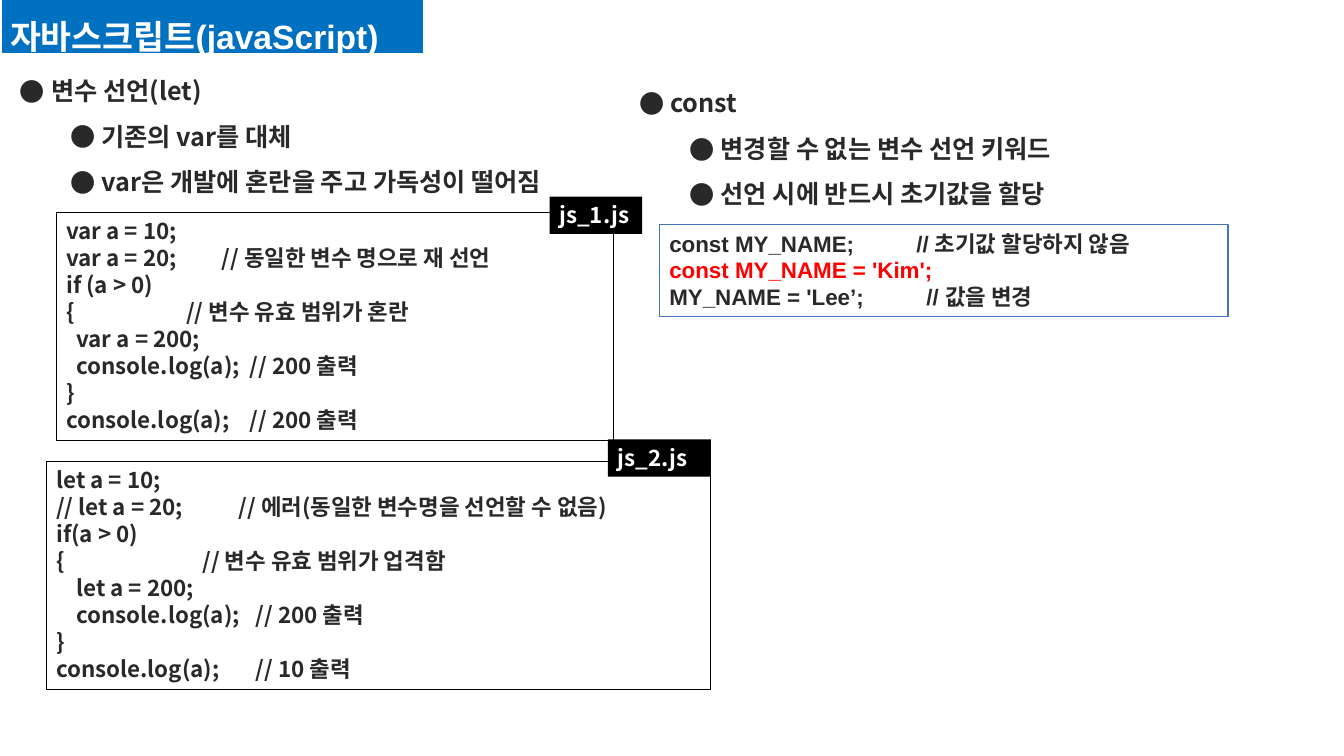
from lxml import etree
from pptx import Presentation
from pptx.dml.color import RGBColor
from pptx.enum.shapes import MSO_SHAPE
from pptx.enum.text import MSO_ANCHOR, MSO_AUTO_SIZE, PP_ALIGN
from pptx.oxml.ns import qn
from pptx.util import Inches, Pt

RECT = MSO_SHAPE.RECTANGLE
TOP = MSO_ANCHOR.TOP
FIXED = MSO_AUTO_SIZE.NONE
LEFT = PP_ALIGN.LEFT
NOTO = "Noto Sans CJK KR"
DARK, WHITE, BLACK, RED = "292929", "FFFFFF", "000000", "FF0000"


def rgb(code):
    return RGBColor.from_string(code)


def write(shape, rows, size, font=NOTO, space=1.0):
    """Fill a shape with rows of (text, colour, level, tab stops)."""
    frame = shape.text_frame
    for key, val in {"word_wrap": True, "auto_size": FIXED,
                     "vertical_anchor": TOP}.items():
        setattr(frame, key, val)
    for i, (text, color, level, stops) in enumerate(rows):
        para = frame.paragraphs[0] if i == 0 else frame.add_paragraph()
        para.alignment, para.line_spacing = LEFT, space
        props = para._p.get_or_add_pPr()
        if level is not None:
            para.level = level
            props.set("marL", str(Inches(0.31 + 0.5 * level)))
            props.set("indent", str(Inches(-0.31)))
            etree.SubElement(props, qn("a:buFont")).set("typeface", NOTO)
            etree.SubElement(props, qn("a:buChar")).set("char", "●")
        if stops:
            tabs = etree.SubElement(props, qn("a:tabLst"))
            for stop in stops:
                tab = etree.SubElement(tabs, qn("a:tab"))
                tab.set("pos", str(Inches(stop)))
                tab.set("algn", "l")
        run = para.add_run()
        run.text = text
        for key, val in {"size": Pt(size), "name": font, "bold": True}.items():
            setattr(run.font, key, val)
        run.font.color.rgb = rgb(color)
        east = etree.SubElement(run._r.get_or_add_rPr(), qn("a:ea"))
        east.set("typeface", NOTO)


prs = Presentation()
prs.slide_width, prs.slide_height = Inches(13.33), Inches(7.5)
slide = prs.slides.add_slide(prs.slide_layouts[5])
shapes = slide.shapes

# Title bar
title = shapes.title
spots = {"left": 0, "top": -0.09, "width": 4.21, "height": 0.63}
for key, val in spots.items():
    setattr(title, key, Inches(val))
title.fill.solid()
title.fill.fore_color.rgb = rgb("0070C0")
title.line.color.rgb = rgb(WHITE)
title.line.width = Pt(2.25)
write(title, [("자바스크립트(javaScript)", WHITE, None, [])], 24, "Arial", 1.5)

# Bullet lists: a heading and its points
lists = [
    ((0.1, 0.55, 6.14, 1.41),
     ["변수 선언(let)", "기존의 var를 대체", "var은 개발에 혼란을 주고 가독성이 떨어짐"]),
    ((6.24, 0.67, 6.79, 1.41),
     ["const", "변경할 수 없는 변수 선언 키워드", "선언 시에 반드시 초기값을 할당"]),
]
for spot, items in lists:
    box = shapes.add_textbox(*map(Inches, spot))
    rows = [(text, DARK, min(i, 1), []) for i, text in enumerate(items)]
    write(box, rows, 18, space=1.5)

# Code samples: each line with its tab stops
var_code = [
    ("var a = 10;", []),
    ("var a = 20;\t// 동일한 변수 명으로 재 선언", [1.54]),
    ("if (a > 0)", []),
    ("{\t// 변수 유효 범위가 혼란", [1.19]),
    ("\tvar a = 200;", [0.1]),
    ("\tconsole.log(a);\t// 200 출력", [0.1, 1.82]),
    ("}", []),
    ("console.log(a);\t// 200 출력", [1.82]),
]
let_code = [
    ("let a = 10;", []),
    ("// let a = 20;\t// 에러(동일한 변수명을 선언할 수 없음)", [1.81]),
    ("if(a > 0)", []),
    ("{\t// 변수 유효 범위가 업격함", [1.45]),
    ("\tlet a = 200;", [0.2]),
    ("\tconsole.log(a);\t// 200 출력", [0.2, 1.98]),
    ("}", []),
    ("console.log(a);\t// 10 출력", [1.98]),
]
const_code = [
    ("const MY_NAME;\t// 초기값 할당하지 않음", [2.45]),
    ("const MY_NAME = 'Kim';", []),
    ("MY_NAME = 'Lee’;\t// 값을 변경", [2.55]),
]
# Place, fill, line, text colour, font, lines
boxes = [
    ((0.56, 2.11, 5.53, 2.26), None, BLACK, DARK, NOTO, var_code),
    ((0.46, 4.58, 6.59, 2.26), None, BLACK, DARK, NOTO, let_code),
    ((6.54, 2.23, 5.64, 0.91), None, "4472C4", DARK, "Arial", const_code),
    ((5.45, 1.95, 0.92, 0.37), BLACK, None, WHITE, NOTO, [("js_1.js", [])]),
    ((6.03, 4.36, 1.02, 0.37), BLACK, None, WHITE, NOTO, [("js_2.js", [])]),
]
for spot, fill, line, color, font, code in boxes:
    box = shapes.add_shape(RECT, *map(Inches, spot))
    box.shadow.inherit = False
    if fill:
        box.fill.solid()
        box.fill.fore_color.rgb = rgb(fill)
    else:
        box.fill.background()
    if line:
        box.line.color.rgb = rgb(line)
        box.line.width = Pt(0.75)
    else:
        box.line.fill.background()
    rows = [(text, RED if "Kim" in text else color, None, stops)
            for text, stops in code]
    write(box, rows, 16, font)

prs.save("out.pptx")
